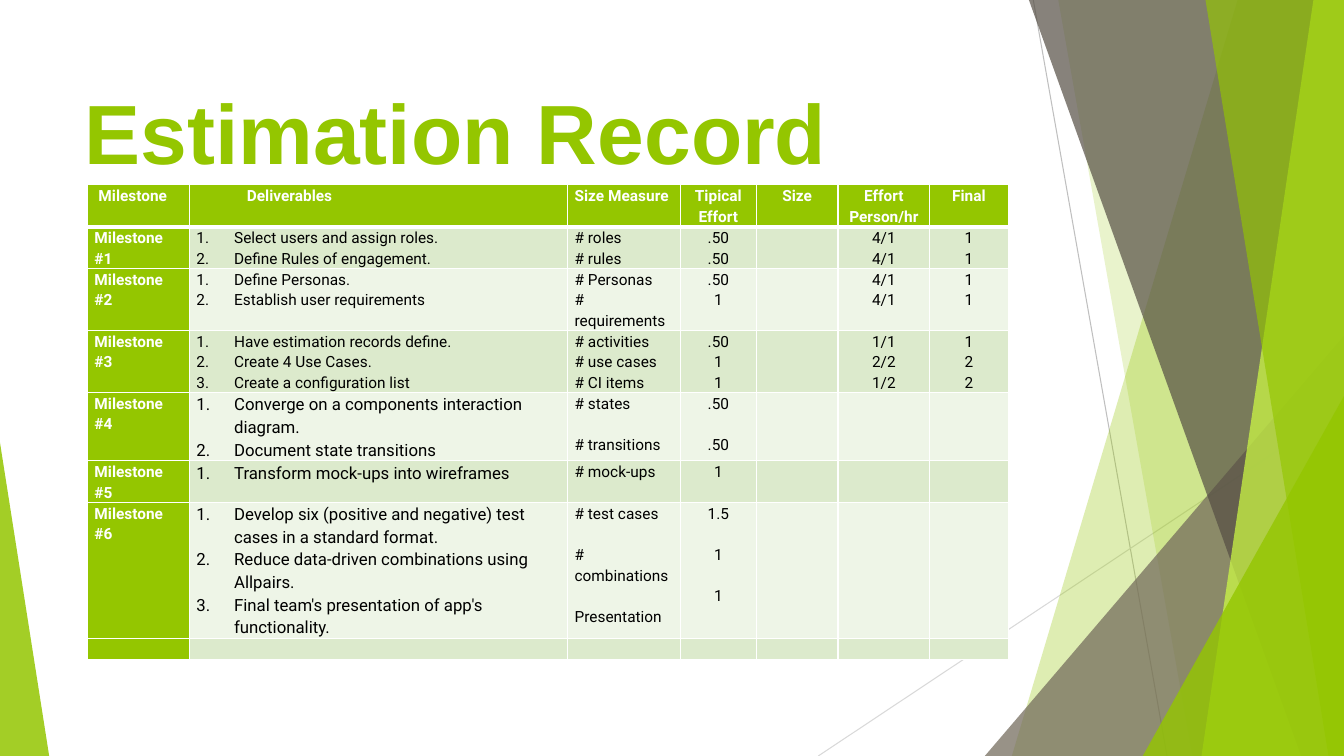
from lxml.etree import SubElement
from pptx import Presentation
from pptx.dml.color import RGBColor
from pptx.enum.shapes import MSO_CONNECTOR, MSO_SHAPE
from pptx.enum.text import MSO_ANCHOR, MSO_AUTO_SIZE, PP_ALIGN
from pptx.oxml.ns import qn
from pptx.util import Cm, Pt

COLORS = {
    "green": "94C600", "lime": "D0FF44", "taupe": "71685A", "brown": "554E44",
    "band": "DCEACC", "pale": "EEF5E7", "white": "FFFFFF", "black": "000000",
    "line": "BFBFBF", "light_line": "D9D9D9",
}
WIDTH, HEIGHT = 33.87, 19.05
BODY_FONT = "Roboto"

HEADERS = [["Milestone"], ["Deliverables"], ["Size Measure"], ["Tipical Effort"],
           ["Size"], ["Effort", "Person/hr"], ["Final"]]
COL_WIDTHS = [2.57, 9.53, 2.84, 1.91, 2.06, 2.31, 1.98]
ROW_HEIGHTS = [1.07, 1.04, 1.56, 1.56, 1.73, 1.04, 3.44, 0.52]
DELIVERABLES_COL, FIRST_CENTERED_COL = 1, 3
FIRST_LOOSE_ROW = 4  # larger deliverables and spaced-out measures from here on

# Deliverables, size measures, typical effort, size, effort, final
MILESTONES = [
    [["Select users and assign roles.", "Define Rules of engagement."],
     ["# roles", "# rules"], [".50", ".50"], [], ["4/1", "4/1"], ["1", "1"]],
    [["Define Personas.", "Establish user requirements"],
     ["# Personas", "# requirements"], [".50", "1"], [], ["4/1", "4/1"], ["1", "1"]],
    [["Have estimation records define.", "Create 4 Use Cases.",
      "Create a configuration list"],
     ["# activities", "# use cases", "# CI items"], [".50", "1", "1"], [],
     ["1/1", "2/2", "1/2"], ["1", "2", "2"]],
    [["Converge on a components interaction diagram.", "Document state transitions"],
     ["# states", "# transitions"], [".50", ".50"], [], [], []],
    [["Transform mock-ups into wireframes"], ["# mock-ups"], ["1"], [], [], []],
    [["Develop six (positive and negative) test cases in a standard format.",
      "Reduce data-driven combinations using Allpairs.",
      "Final team's presentation of app's functionality."],
     ["# test cases", "# combinations", "Presentation"], ["1.5", "1", "1"], [], [], []],
]


def rgb(name):
    return RGBColor.from_string(COLORS[name])


def style_facet(sp, color, opacity):
    sp.shadow.inherit = False
    sp.line.fill.background()
    sp.fill.solid()
    sp.fill.fore_color.rgb = rgb(color)
    clr = sp._element.spPr.find(qn("a:solidFill"))[0]
    SubElement(clr, qn("a:alpha"), val=str(opacity * 1000))


def add_line(s, start, end, color):
    line = s.shapes.add_connector(MSO_CONNECTOR.STRAIGHT, *map(Cm, start + end))
    line.line.color.rgb = rgb(color)
    line.line.width = Pt(0.75)
    SubElement(line._element.spPr, qn("a:effectLst"))


def add_band(s, top_x, bottom_x, color, opacity):
    """Fill from a slanted edge to the right side of the slide."""
    corners = [(top_x, 0), (WIDTH, 0), (WIDTH, HEIGHT), (bottom_x, HEIGHT)]
    points = [(Cm(x), Cm(y)) for x, y in corners]
    builder = s.shapes.build_freeform(*points[0], scale=1.0)
    builder.add_line_segments(points[1:], close=True)
    style_facet(builder.convert_to_shape(), color, opacity)


def add_triangle(s, left, top, width, apex, color, opacity):
    """Triangle standing on the bottom edge of the slide."""
    sp = s.shapes.add_shape(MSO_SHAPE.ISOSCELES_TRIANGLE, Cm(left), Cm(top),
                            Cm(width), Cm(HEIGHT - top))
    sp.adjustments[0] = apex
    style_facet(sp, color, opacity)


def add_facets(s):
    add_line(s, (26.04, 0), (29.41, HEIGHT), "line")
    add_line(s, (WIDTH, 10.24), (20.62, HEIGHT), "light_line")
    add_band(s, 31.19, 25.5, "green", 30)
    add_band(s, 26.67, 30.05, "green", 20)
    add_triangle(s, 24.82, 8.46, 9.05, 1, "taupe", 72)
    add_band(s, 25.93, 32.79, "brown", 70)
    add_band(s, 33.1, 30.28, "lime", 70)
    add_band(s, 30.38, 33.48, "green", 65)
    add_triangle(s, 28.8, 9.98, 5.07, 1, "green", 80)
    add_triangle(s, 0, 11.15, 1.24, 0, "green", 85)


def format_run(r, font, size, color, bold):
    r.font.name = font
    r.font.size = Pt(size)
    r.font.color.rgb = rgb(color)
    r.font.bold = bold


def add_title(s, text):
    title = s.shapes.title
    title.left, title.top = Cm(1.88), Cm(1.7)
    title.width, title.height = Cm(23.88), Cm(3.66)
    tf = title.text_frame
    tf.word_wrap = True
    tf.auto_size = MSO_AUTO_SIZE.NONE
    tf.vertical_anchor = MSO_ANCHOR.TOP
    tf.margin_top = Cm(0.34)
    p = tf.paragraphs[0]
    p.alignment = PP_ALIGN.LEFT
    r = p.add_run()
    r.text = text
    format_run(r, "Arial", 60, "green", True)


def set_borders(cell, row):
    tc_pr = cell._tc.get_or_add_tcPr()
    heavy = {0: "lnB", 1: "lnT"}.get(row)
    for side in ("lnL", "lnR", "lnT", "lnB"):
        ln = SubElement(tc_pr, qn(f"a:{side}"), w=str(Pt(3 if side == heavy else 1)))
        SubElement(SubElement(ln, qn("a:solidFill")), qn("a:srgbClr"), val=COLORS["white"])


def set_indent(p, left, first=0.0):
    p_pr = p._p.get_or_add_pPr()
    p_pr.set("marL", str(Cm(left)))
    p_pr.set("indent", str(Cm(first)))
    return p_pr


def fill_cell(cell, row, col, lines):
    is_head = row == 0 or col == 0
    is_loose = row >= FIRST_LOOSE_ROW
    is_numbered = col == DELIVERABLES_COL and row > 0
    set_borders(cell, row)
    cell.fill.solid()
    cell.fill.fore_color.rgb = rgb("green" if is_head else "band" if row % 2 else "pale")
    cell.margin_left = cell.margin_right = Cm(0.17)
    cell.margin_top = cell.margin_bottom = 0
    tf = cell.text_frame
    if not lines:
        SubElement(tf.paragraphs[0]._p, qn("a:endParaRPr"), sz="1100")
    for i, text in enumerate(lines):
        p = tf.add_paragraph() if i else tf.paragraphs[0]
        p.line_spacing = 1.15
        p.alignment = PP_ALIGN.CENTER if col >= FIRST_CENTERED_COL else PP_ALIGN.LEFT
        if is_numbered:
            SubElement(set_indent(p, 0.95, -0.95), qn("a:buAutoNum"), type="arabicPeriod")
        elif is_loose and i:
            p.space_before = Pt(14.8)
        elif row == 0 and col <= DELIVERABLES_COL:
            set_indent(p, 1.27 if col else 0.1)
        r = p.add_run()
        r.text = text
        format_run(r, BODY_FONT, 12 if is_numbered and is_loose else 11,
                   "white" if is_head else "black", is_head)


def add_estimates(s):
    milestones = [[[f"Milestone #{n}"], *cells] for n, cells in enumerate(MILESTONES, 1)]
    rows = [HEADERS, *milestones, [[] for _ in HEADERS]]
    table = s.shapes.add_table(len(rows), len(HEADERS), Cm(2.21), Cm(4.65),
                               Cm(sum(COL_WIDTHS)), Cm(sum(ROW_HEIGHTS))).table
    table.horz_banding = False
    for column, width in zip(table.columns, COL_WIDTHS):
        column.width = Cm(width)
    for i, cells in enumerate(rows):
        table.rows[i].height = Cm(ROW_HEIGHTS[i])
        for j, lines in enumerate(cells):
            fill_cell(table.cell(i, j), i, j, lines)


def main():
    prs = Presentation()
    prs.slide_width, prs.slide_height = Cm(WIDTH), Cm(HEIGHT)
    s = prs.slides.add_slide(prs.slide_layouts[5])
    add_facets(s)
    add_title(s, "Estimation Record")
    add_estimates(s)
    prs.save("out.pptx")


if __name__ == "__main__":
    main()
